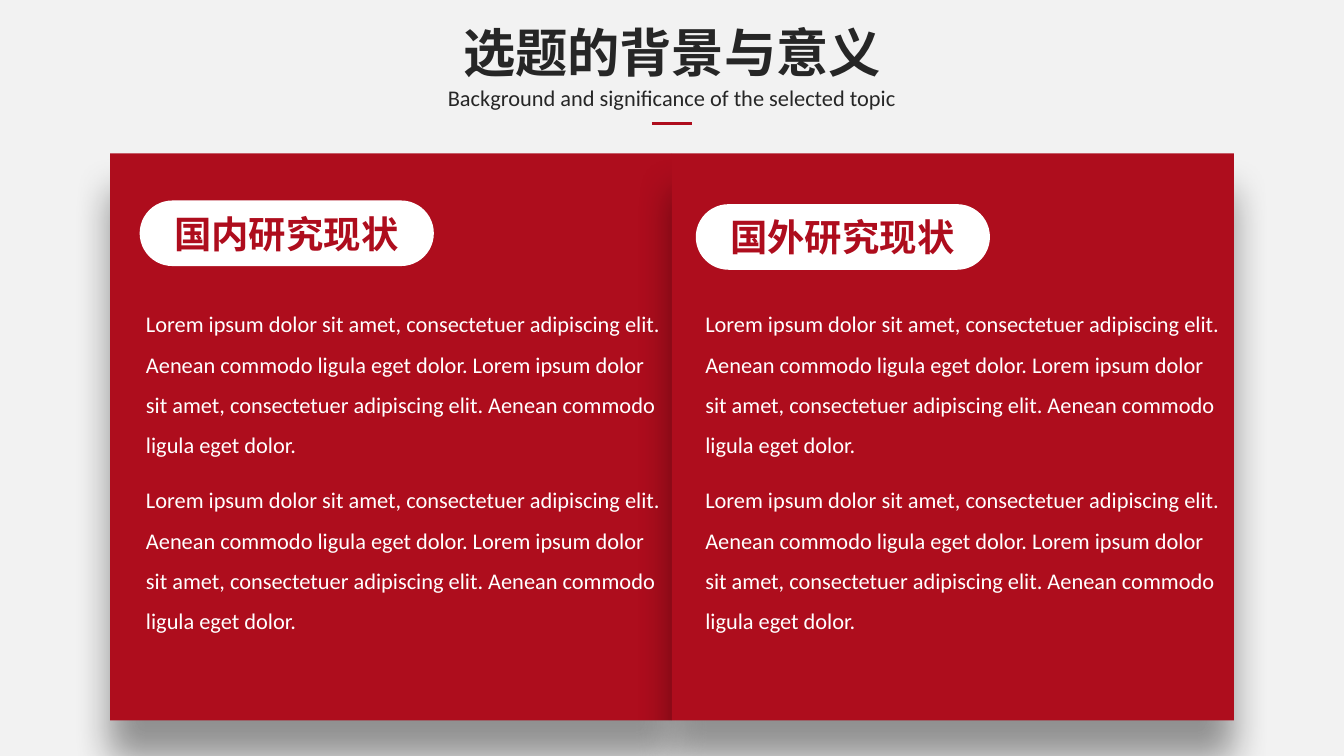
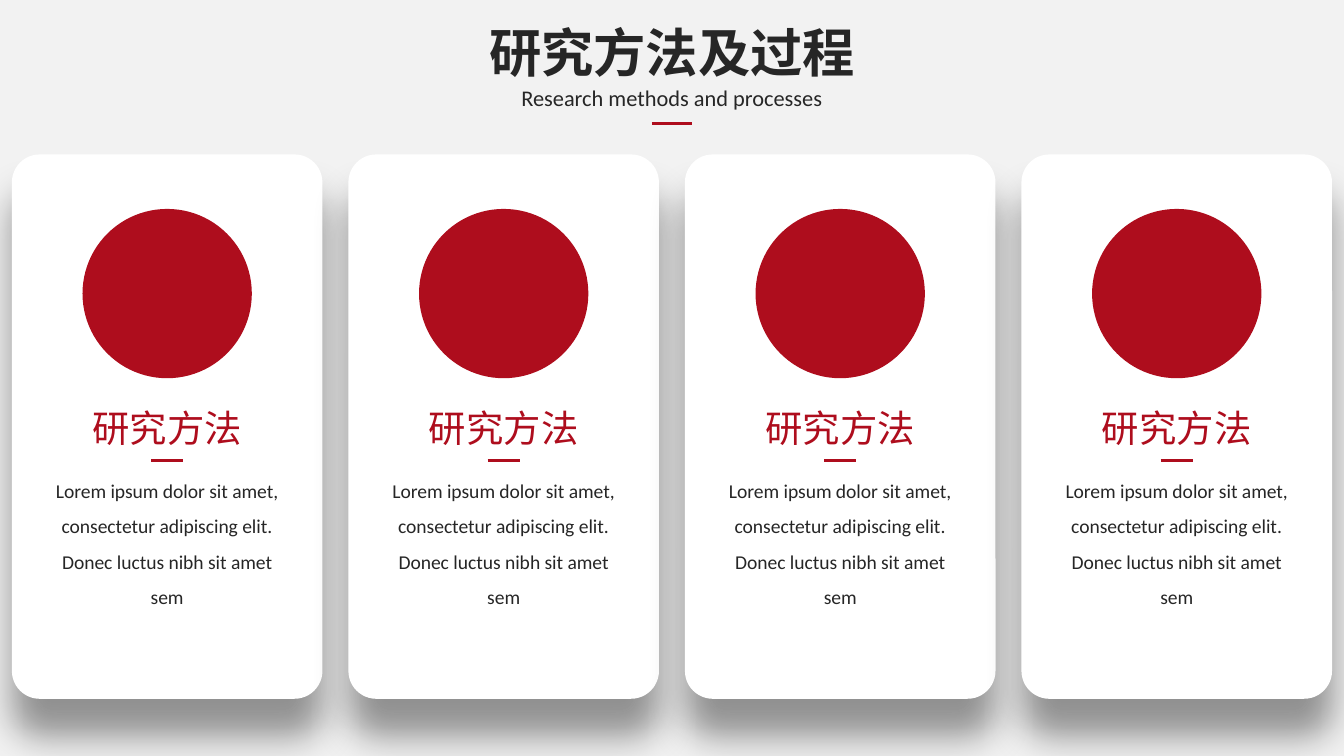
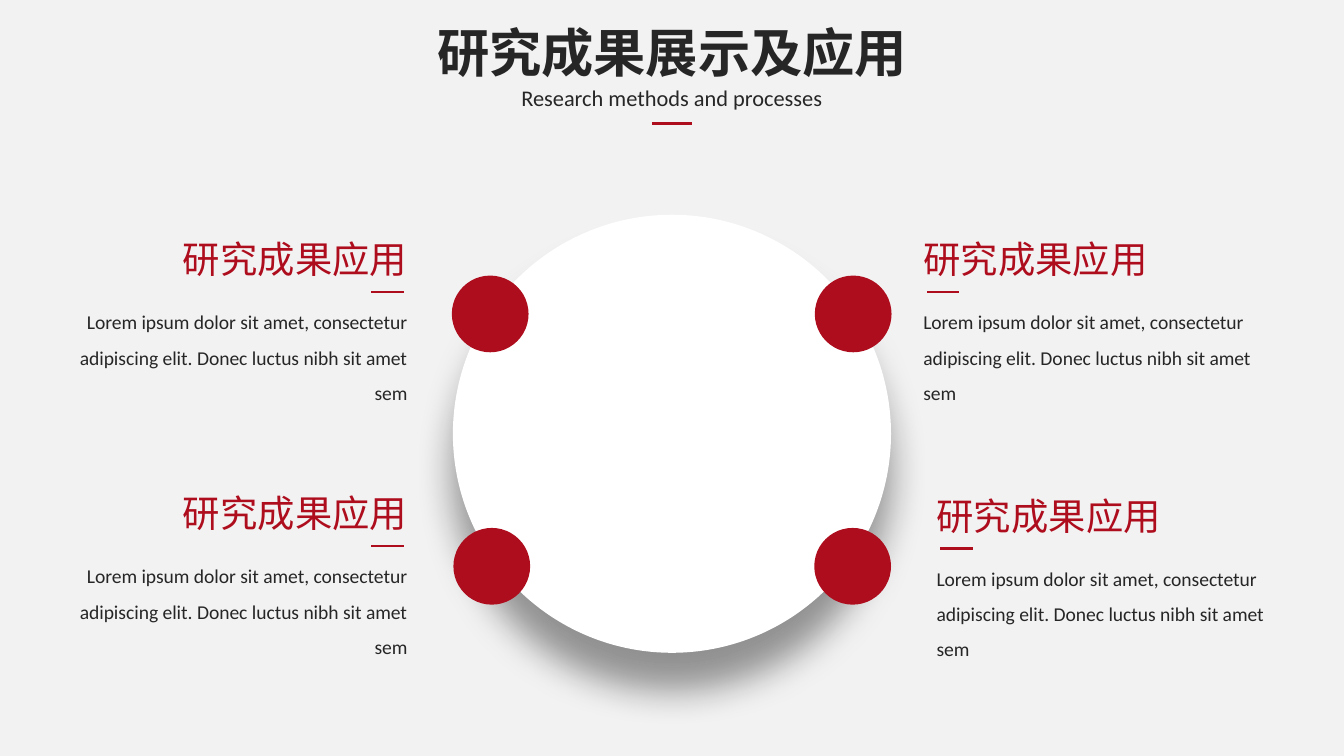
from dataclasses import dataclass

from lxml import etree
from pptx import Presentation
from pptx import util as u
from pptx.dml.color import RGBColor
from pptx.enum import shapes, text
from pptx.oxml.ns import qn

Cm = u.Cm
SHAPE = shapes.MSO_SHAPE
ALIGN = text.PP_ALIGN


@dataclass(frozen=True)
class Theme:
    paper: str = "F2F2F2"
    red: str = "AE0D1D"
    white: str = "FFFFFF"
    ink: str = "262626"
    latin: str = "Calibri"
    cjk: str = "Noto Sans CJK SC"
    title: float = 28
    heading: float = 20
    body: float = 12
    small: float = 10.5
    rule: float = 1.5
    leading: float = 1.5


T = Theme()
SLIDE_W, SLIDE_H = 25.4, 14.29
MIDDLE = SLIDE_W / 2
RULE_W = 0.61
SHARE = {ALIGN.LEFT: 0, ALIGN.CENTER: 0.5, ALIGN.RIGHT: 1}

STATUS_TEXT = " ".join(
    ["Lorem ipsum dolor sit amet, consectetuer adipiscing elit. "
     "Aenean commodo ligula eget dolor."] * 2)
CAPTION_TEXT = ("Lorem ipsum dolor sit amet, consectetur adipiscing elit. "
                "Donec luctus nibh sit amet sem")


def cjk_width(words, size):
    """Width in cm of a box holding one line of full-width characters."""
    return len(words) * u.Pt(size).cm + 0.52


def place(sp, left, top, width, height):
    sp.left, sp.top, sp.width, sp.height = map(Cm, (left, top, width, height))


def write(sp, words, size, color, font=T.latin, bold=False,
          align=ALIGN.LEFT, wrap=True, leading=None):
    tf = sp.text_frame
    tf.text = words
    tf.word_wrap = wrap
    tf.auto_size = text.MSO_AUTO_SIZE.SHAPE_TO_FIT_TEXT
    tf.vertical_anchor = text.MSO_ANCHOR.TOP
    p = tf.paragraphs[0]
    p.alignment = align
    if leading:
        p.line_spacing = leading
    r = p.runs[0]
    r.font.size, r.font.bold, r.font.name = u.Pt(size), bold, font
    r.font.color.rgb = RGBColor.from_string(color)
    etree.SubElement(r.font._element, qn("a:ea"), typeface=font)


def add_text(s, words, left, top, width, height, size, color, **style):
    sp = s.shapes.add_textbox(*map(Cm, (left, top, width, height)))
    write(sp, words, size, color, **style)


def add_heading(s, words, left, top, **style):
    add_text(s, words, left, top, cjk_width(words, T.heading), 1.12,
             T.heading, T.red, font=T.cjk, wrap=False, **style)


def add_block(s, kind, left, top, width, height, color, corner=None, raised=False):
    """Draw a plain filled shape; a raised one casts a soft shadow downwards."""
    sp = s.shapes.add_shape(kind, *map(Cm, (left, top, width, height)))
    sp.fill.solid()
    sp.fill.fore_color.rgb = RGBColor.from_string(color)
    sp.line.fill.background()
    sp.shadow.inherit = False
    if corner is not None:
        sp.adjustments[0] = corner
    if raised:
        effects = sp._element.spPr.find(qn("a:effectLst"))
        depth = str(u.Pt(20))
        shadow = etree.SubElement(effects, qn("a:outerShdw"), blurRad=depth,
                                  dist=depth, dir="5400000", algn="t",
                                  rotWithShape="0")
        tint = etree.SubElement(shadow, qn("a:srgbClr"), val="000000")
        etree.SubElement(tint, qn("a:alpha"), val="40000")


def add_rule(s, left, y, width=RULE_W):
    line = s.shapes.add_connector(shapes.MSO_CONNECTOR.STRAIGHT,
                                  Cm(left), Cm(y), Cm(left + width), Cm(y))
    line.line.color.rgb = RGBColor.from_string(T.red)
    line.line.width = u.Pt(T.rule)
    etree.SubElement(line._element.spPr, qn("a:effectLst"))


def add_caption(s, words, left, top, width, height, align):
    """Heading, short rule and body text, all set to one side of a column."""
    share = SHARE[align]
    inset = 0.32
    add_text(s, CAPTION_TEXT, left, top + 1.18, width, height, T.small, T.ink,
             align=align, leading=T.leading)
    spare = width - cjk_width(words, T.heading)
    add_heading(s, words, left + share * spare, top, align=align)
    add_rule(s, left + inset + share * (width - 2 * inset - RULE_W), top + 1.18)


def add_slide(prs, title, subtitle, subtitle_w):
    s = prs.slides.add_slide(prs.slide_layouts[5])
    width = cjk_width(title, T.title)
    place(s.shapes.title, MIDDLE - width / 2, 0.25, width, 1.45)
    write(s.shapes.title, title, T.title, T.ink, font=T.cjk, bold=True,
          align=ALIGN.CENTER, wrap=False)
    add_text(s, subtitle, MIDDLE - subtitle_w / 2, 1.47, subtitle_w, 0.76,
             T.body, T.ink, align=ALIGN.CENTER, wrap=False)
    add_rule(s, MIDDLE - 0.38, 2.34, 0.76)
    return s


def build_background(prs):
    s = add_slide(prs, "选题的背景与意义",
                  "Background and significance of the selected topic", 8.99)
    panel_w = 10.62
    for left in (MIDDLE - panel_w, MIDDLE):
        add_block(s, SHAPE.RECTANGLE, left, 2.9, panel_w, 10.72, T.red, raised=True)
    for label, pill_left, pill_top, body_left in (
            ("国内研究现状", 2.64, 3.79, 2.51),
            ("国外研究现状", 13.15, 3.86, 13.08)):
        add_block(s, SHAPE.ROUNDED_RECTANGLE, pill_left, pill_top, 5.56, 1.24,
                  T.white, corner=0.5)
        add_heading(s, label, pill_left + 0.4, pill_top + 0.07, bold=True)
        for top in (5.49, 8.82):
            add_text(s, STATUS_TEXT, body_left, top, 10.39, 3.33, T.body,
                     T.white, leading=T.leading)


def build_methods(prs):
    s = add_slide(prs, "研究方法及过程", "Research methods and processes", 6.2)
    count, pitch = 4, 6.36
    card_w, disc, text_w = 5.87, 3.2, 4.78
    for i in range(count):
        center = MIDDLE + (i - (count - 1) / 2) * pitch
        add_block(s, SHAPE.ROUNDED_RECTANGLE, center - card_w / 2, 2.92,
                  card_w, 10.29, T.white, corner=0.09, raised=True)
        add_block(s, SHAPE.OVAL, center - disc / 2, 3.95, disc, disc, T.red)
        add_caption(s, "研究方法", center - text_w / 2, 7.53, text_w, 2.95,
                    ALIGN.CENTER)


def build_results(prs):
    s = add_slide(prs, "研究成果展示及应用", "Research methods and processes", 6.2)
    disc, dot = 8.28, 1.45
    add_block(s, SHAPE.OVAL, MIDDLE - disc / 2, 4.06, disc, disc, T.white, raised=True)
    for dot_left, dot_top, left, top, align in (
            (8.54, 5.21, 0.76, 4.34, ALIGN.RIGHT),
            (15.4, 5.21, 17.2, 4.34, ALIGN.LEFT),
            (8.57, 9.98, 0.76, 9.14, ALIGN.RIGHT),
            (15.39, 9.98, 17.45, 9.19, ALIGN.LEFT)):
        add_block(s, SHAPE.OVAL, dot_left, dot_top, dot, dot, T.red)
        add_caption(s, "研究成果应用", left, top, 7.19, 2.29, align)


def main():
    prs = Presentation()
    prs.slide_width, prs.slide_height = Cm(SLIDE_W), Cm(SLIDE_H)
    fill = prs.slide_master.background.fill
    fill.solid()
    fill.fore_color.rgb = RGBColor.from_string(T.paper)
    build_background(prs)
    build_methods(prs)
    build_results(prs)
    prs.save("out.pptx")


if __name__ == "__main__":
    main()
